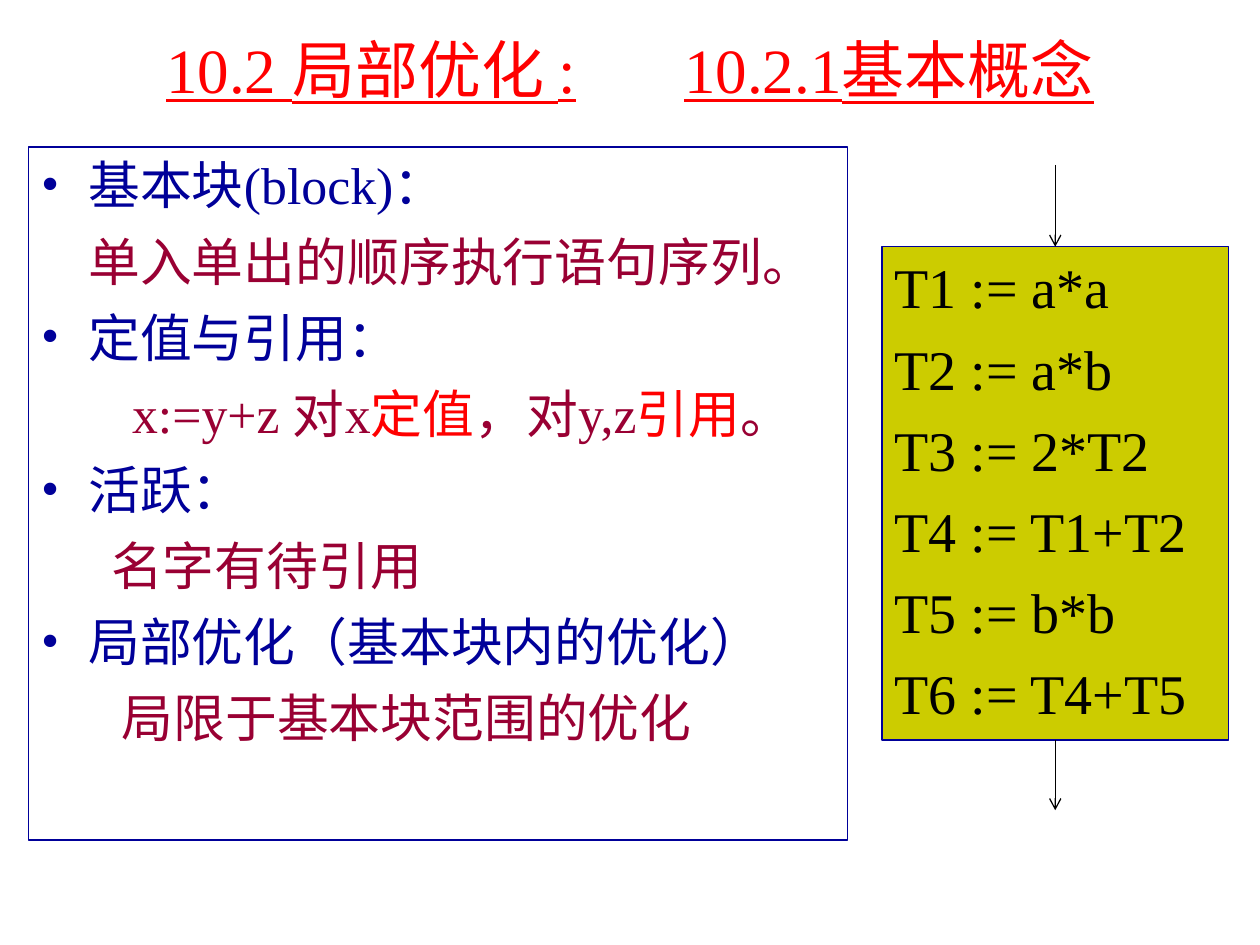
from lxml import etree
from pptx import Presentation
from pptx.dml.color import RGBColor
from pptx.enum.lang import MSO_LANGUAGE_ID
from pptx.enum.shapes import MSO_CONNECTOR, MSO_SHAPE
from pptx.enum.text import MSO_ANCHOR, PP_ALIGN
from pptx.oxml.ns import qn
from pptx.util import Pt

RECTANGLE = MSO_SHAPE.RECTANGLE
STRAIGHT = MSO_CONNECTOR.STRAIGHT
LEFT, CENTER = PP_ALIGN.LEFT, PP_ALIGN.CENTER
TOP, MIDDLE = MSO_ANCHOR.TOP, MSO_ANCHOR.MIDDLE
CHINESE = MSO_LANGUAGE_ID.SIMPLIFIED_CHINESE
COLORS = {"navy": "000099", "wine": "990033", "red": "FF0000",
          "olive": "CCCC00", "black": "000000"}
FONT = "Times New Roman"
HANG = 27


def rgb(name):
    return RGBColor.from_string(COLORS[name])


def add_span(para, text, size=32, color="black", underline=None):
    span = para.add_run()
    span.text = text
    font = span.font
    font.name, font.size, font.underline = FONT, Pt(size), underline
    font.language_id = CHINESE
    font.color.rgb = rgb(color)


class SlideBuilder:
    """Builds the elements of one slide in a shared style."""

    def __init__(self, deck):
        self.slide = deck.slides.add_slide(deck.slide_layouts[6])
        self.line_width = Pt(0.75)

    def title(self, left, top, width, height, text, tab_position):
        box = self.slide.shapes.add_textbox(Pt(left), Pt(top), Pt(width), Pt(height))
        frame = box.text_frame
        frame.word_wrap = True
        frame.vertical_anchor = MIDDLE
        para = frame.paragraphs[0]
        para.alignment = CENTER
        tabs = etree.SubElement(para._p.get_or_add_pPr(), qn("a:tabLst"))
        etree.SubElement(tabs, qn("a:tab"), pos=str(Pt(tab_position)), algn="l")
        add_span(para, text, size=36, color="red", underline=True)

    def panel(self, left, top, width, height, fill=None):
        box = self.slide.shapes.add_shape(RECTANGLE, Pt(left), Pt(top), Pt(width), Pt(height))
        box.shadow.inherit = False
        if fill:
            box.fill.solid()
            box.fill.fore_color.rgb = rgb(fill)
        else:
            box.fill.background()
        box.line.color.rgb = rgb("navy")
        box.line.width = self.line_width
        frame = box.text_frame
        frame.word_wrap = True
        frame.vertical_anchor = TOP
        return box

    def paragraph(self, box, spans, size, first_indent=0, bullet=False):
        frame = box.text_frame
        is_first = not frame.paragraphs[0].runs
        para = frame.paragraphs[0] if is_first else frame.add_paragraph()
        para.alignment = LEFT
        para.space_before = Pt(0 if is_first else 8)
        props = para._p.get_or_add_pPr()
        props.set("marL", str(Pt(HANG)))
        props.set("indent", str(Pt(-HANG if bullet else first_indent)))
        props.set("hangingPunct", "0")
        if bullet:
            tint = etree.SubElement(props, qn("a:buClr"))
            etree.SubElement(tint, qn("a:srgbClr"), val=COLORS["navy"])
            etree.SubElement(props, qn("a:buFont"), typeface=FONT)
            etree.SubElement(props, qn("a:buChar"), char="•")
        else:
            etree.SubElement(props, qn("a:buNone"))
        for text, color in spans:
            add_span(para, text, size=size, color=color)

    def arrow(self, x, top, bottom):
        line = self.slide.shapes.add_connector(STRAIGHT, Pt(x), Pt(top), Pt(x), Pt(bottom))
        line.line.color.rgb = rgb("black")
        line.line.width = self.line_width
        etree.SubElement(line.line._get_or_add_ln(), qn("a:tailEnd"), type="arrow")
        etree.SubElement(line._element.spPr, qn("a:effectLst"))
        return line


def main():
    deck = Presentation()
    deck.slide_width, deck.slide_height = Pt(720), Pt(540)
    page = SlideBuilder(deck)
    page.title(54, 23.8, 612, 30.2, "10.2 局部优化 :\t10.2.1基本概念", 296)

    concepts = page.panel(16.4, 84, 468, 396)
    definitions = [
        ("基本块(block)：", 0, [("单入单出的顺序执行语句序列。", "wine")]),
        ("定值与引用：", 25, [("x:=y+z 对x", "wine"), ("定值", "red"),
                         ("，对y,z", "wine"), ("引用", "red"), ("。", "wine")]),
        ("活跃：", 13, [("名字有待引用", "wine")]),
        ("局部优化（基本块内的优化）", 19, [("局限于基本块范围的优化", "wine")]),
    ]
    for term, first_indent, meaning in definitions:
        page.paragraph(concepts, [(term, "navy")], 29.6, bullet=True)
        page.paragraph(concepts, meaning, 29.6, first_indent)

    block = page.panel(504, 141, 198, 282, fill="olive")
    expressions = ["a*a", "a*b", "2*T2", "T1+T2", "b*b", "T4+T5"]
    for number, expression in enumerate(expressions, 1):
        page.paragraph(block, [(f"T{number} := {expression}", "black")], 32, -HANG)

    page.arrow(603, 94.3, 141).end_connect(block, 0)
    page.arrow(603, 423, 463).begin_connect(block, 2)
    deck.save("out.pptx")


if __name__ == "__main__":
    main()
